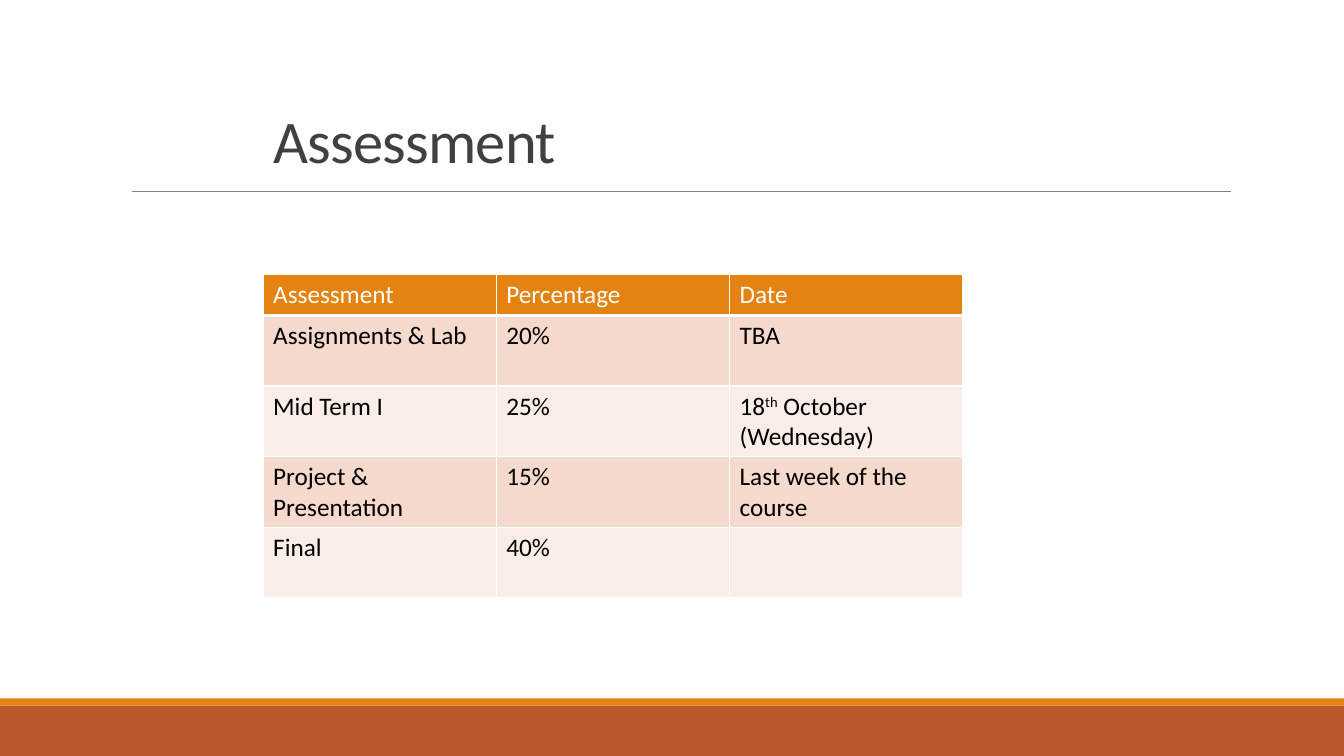
from typing import NamedTuple

from lxml.etree import SubElement
from pptx import Presentation
from pptx.dml.color import RGBColor
from pptx.enum.shapes import MSO_CONNECTOR as Connector, MSO_SHAPE as Shape
from pptx.enum.text import MSO_ANCHOR as Anchor
from pptx.oxml.ns import qn
from pptx.util import Inches, Pt

FONT = "Calibri"
ORANGE = "E48312"
RUST = "BD582C"
WHITE = "FFFFFF"
BANDS = ("F5D9CC", "FAEDE7")
SLIDE_WIDTH = 13.33
HEADER_HEIGHT = 0.41
BODY_HEIGHT = 0.7


class Bar(NamedTuple):
    top: float
    height: float
    color: str


class Run(NamedTuple):
    text: str
    baseline: int = 0


class Assessment(NamedTuple):
    name: str
    percentage: str
    date: str | tuple[Run, ...]


FOOTER_BARS = (Bar(7, 0.5, RUST), Bar(6.93, 0.07, ORANGE))
HEADINGS = Assessment("Assessment", "Percentage", "Date")
ASSESSMENTS = (
    Assessment("Assignments & Lab", "20%", "TBA"),
    Assessment("Mid Term I", "25%", (Run("18"), Run("th", 30), Run(" October (Wednesday)"))),
    Assessment("Project & Presentation", "15%", "Last week of the course"),
    Assessment("Final", "40%", ""),
)


def rgb(color: str) -> RGBColor:
    return RGBColor.from_string(color)


def write(frame, text, *, size: float, color: str, spacing: float = 0,
          line_spacing: float = 1) -> None:
    frame.word_wrap = True
    paragraph = frame.paragraphs[0]
    paragraph.line_spacing = line_spacing
    paragraph.font.size = Pt(size)
    for part in (Run(text),) if isinstance(text, str) else text:
        run = paragraph.add_run()
        run.text = part.text
        run.font.name = FONT
        run.font.size = Pt(size)
        run.font.bold = False
        run.font.color.rgb = rgb(color)
        properties = run.font._element
        if spacing:
            properties.set("spc", str(round(spacing * 100)))
        if part.baseline:
            properties.set("baseline", str(part.baseline * 1000))


def draw_bar(slide, bar: Bar) -> None:
    strip = slide.shapes.add_shape(Shape.RECTANGLE, 0, Inches(bar.top),
                                   Inches(SLIDE_WIDTH), Inches(bar.height))
    strip.shadow.inherit = False
    strip.fill.solid()
    strip.fill.fore_color.rgb = rgb(bar.color)
    strip.line.fill.background()


def draw_rule(slide) -> None:
    rule = slide.shapes.add_connector(Connector.STRAIGHT, Inches(1.31), Inches(1.9),
                                      Inches(12.21), Inches(1.9))
    rule.line.color.rgb = rgb("808080")
    rule.line.width = Pt(0.5)
    SubElement(rule._element.spPr, qn("a:effectLst"))


def draw_title(slide) -> None:
    title = slide.shapes.add_textbox(Inches(2.61), Inches(1.01), Inches(6.94), Inches(0.78))
    title.text_frame.vertical_anchor = Anchor.BOTTOM
    write(title.text_frame, "Assessment", size=43.2, color="404040",
          spacing=-0.5, line_spacing=0.85)


def add_borders(cell, bottom_width: float) -> None:
    properties = cell._tc.get_or_add_tcPr()
    for side, width in (("L", 1), ("R", 1), ("T", 1), ("B", bottom_width)):
        border = SubElement(properties, qn(f"a:ln{side}"), w=str(Pt(width)))
        fill = SubElement(border, qn("a:solidFill"))
        SubElement(fill, qn("a:srgbClr"), val=WHITE)


def draw_table(slide) -> None:
    records = (HEADINGS, *ASSESSMENTS)
    height = HEADER_HEIGHT + BODY_HEIGHT * len(ASSESSMENTS)
    table = slide.shapes.add_table(len(records), len(HEADINGS), Inches(2.61), Inches(2.72),
                                   Inches(6.94), Inches(height)).table
    for row, record in enumerate(records):
        is_header = row == 0
        table.rows[row].height = Inches(HEADER_HEIGHT if is_header else BODY_HEIGHT)
        for column, text in enumerate(record):
            cell = table.cell(row, column)
            add_borders(cell, 3 if is_header else 1)
            cell.fill.solid()
            cell.fill.fore_color.rgb = rgb(ORANGE if is_header else BANDS[(row - 1) % 2])
            if text:
                write(cell.text_frame, text, size=18, color=WHITE if is_header else "000000")


def main() -> None:
    presentation = Presentation()
    presentation.slide_width = Inches(SLIDE_WIDTH)
    presentation.slide_height = Inches(7.5)
    slide = presentation.slides.add_slide(presentation.slide_layouts[6])
    for bar in FOOTER_BARS:
        draw_bar(slide, bar)
    draw_rule(slide)
    draw_title(slide)
    draw_table(slide)
    presentation.save("out.pptx")


if __name__ == "__main__":
    main()
